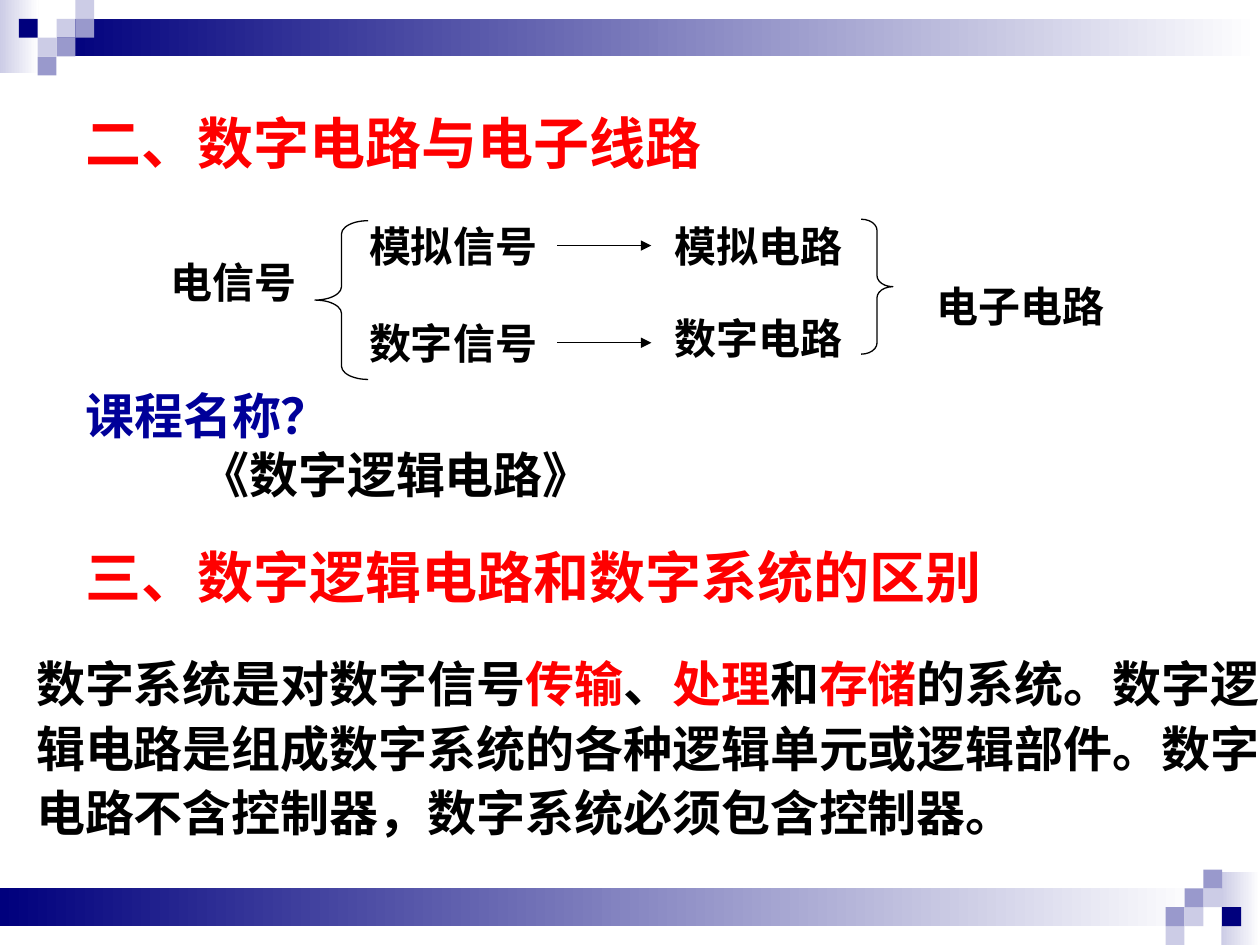
from lxml.etree import SubElement
from pptx import Presentation
from pptx.dml.color import RGBColor
from pptx.enum.shapes import MSO_CONNECTOR, MSO_SHAPE
from pptx.oxml.ns import qn
from pptx.util import Cm, Pt

BLACK = RGBColor(0x00, 0x00, 0x00)
WHITE = RGBColor(0xFF, 0xFF, 0xFF)
RED = RGBColor(0xFF, 0x00, 0x00)
BLUE = RGBColor(0x00, 0x00, 0x99)
NAVY = RGBColor(0x00, 0x00, 0x7D)
LILAC = RGBColor(0xCC, 0xCC, 0xE6)
VIOLET = RGBColor(0x99, 0x99, 0xCC)

CJK_FONT = "Noto Sans CJK SC"
SLIDE_WIDTH, SLIDE_HEIGHT = 25.4, 19.05
TILE = 0.38
TILES = [
    (3, 1, LILAC), (4, 0, LILAC), (4, 1, VIOLET), (2, 2, LILAC),
    (1, 1, NAVY), (3, 2, VIOLET), (2, 3, VIOLET),
]


def add_block(slide, left, top, width, height, color, fade=False):
    """Add a borderless rectangle, plain or fading to white on the right."""
    block = slide.shapes.add_shape(
        MSO_SHAPE.RECTANGLE, Cm(left), Cm(top), Cm(width), Cm(height))
    block.shadow.inherit = False
    block.line.fill.background()
    if fade:
        block.fill.gradient()
        block.fill.gradient_angle = 0
        for stop, shade in zip(block.fill.gradient_stops, (color, WHITE)):
            stop.color.rgb = shade
    else:
        block.fill.solid()
        block.fill.fore_color.rgb = color


def add_corner(slide, mirrored):
    """Add the bar and tile mosaic at the top left, or mirrored at the bottom right."""
    blocks = [(0, 0, 0.78, 1.47, LILAC, True),
              (3 * TILE, TILE, SLIDE_WIDTH - 3 * TILE, 2 * TILE, NAVY, True)]
    blocks += [(column * TILE, row * TILE, TILE, TILE, color, False)
               for column, row, color in TILES]
    for left, top, width, height, color, fade in blocks:
        if mirrored:
            left = SLIDE_WIDTH - left - width
            top = SLIDE_HEIGHT - top - height
        add_block(slide, left, top, width, height, color, fade)


def add_text(slide, left, top, width, height, inset=0.25):
    """Add an empty wrapping text box and return its text frame."""
    frame = slide.shapes.add_textbox(
        Cm(left), Cm(top), Cm(width), Cm(height)).text_frame
    frame.word_wrap = True
    frame.margin_left = Cm(inset)
    return frame


def add_run(paragraph, text, size, color=BLACK, font="Arial"):
    """Append a bold run with its Latin and East Asian fonts."""
    run = paragraph.add_run()
    run.text = text
    run.font.name = font
    run.font.size = Pt(size)
    run.font.bold = True
    run.font.color.rgb = color
    SubElement(run.font._element, qn("a:ea"), typeface=CJK_FONT)


def add_label(slide, text, left, top, width=5.72, font="Arial"):
    """Add one label of the signal diagram."""
    frame = add_text(slide, left, top, width, 1.47, inset=0.89)
    add_run(frame.paragraphs[0], text, 24, font=font)


def add_heading(slide, text, top):
    """Add a red section heading."""
    frame = add_text(slide, 1.47, top, 21.59, 2.11)
    add_run(frame.paragraphs[0], text, 32, RED, CJK_FONT)


def add_brace(slide, kind, left, top, width, height, curve):
    """Add a thin brace with the given curve ratio."""
    brace = slide.shapes.add_shape(kind, Cm(left), Cm(top), Cm(width), Cm(height))
    brace.shadow.inherit = False
    brace.fill.background()
    brace.line.color.rgb = BLACK
    brace.line.width = Pt(0.75)
    brace.adjustments[0] = curve


def add_arrow(slide, y):
    """Add a horizontal arrow from a signal to its circuit."""
    arrow = slide.shapes.add_connector(
        MSO_CONNECTOR.STRAIGHT, Cm(11.23), Cm(y), Cm(13.13), Cm(y))
    arrow.line.color.rgb = BLACK
    arrow.line.width = Pt(0.75)
    SubElement(arrow.line._get_or_add_ln(), qn("a:tailEnd"), type="triangle")
    SubElement(arrow._element.spPr, qn("a:effectLst"))


def add_diagram(slide):
    """Add the diagram linking signals and circuits."""
    add_label(slide, "电信号", 2.54, 5.05, 4.88, "Times New Roman")
    add_brace(slide, MSO_SHAPE.LEFT_BRACE, 6.35, 4.45, 1.07, 3.2, 0.25)
    for y in (4.95, 6.91):
        add_arrow(slide, y)
    add_brace(slide, MSO_SHAPE.RIGHT_BRACE, 17.36, 4.42, 0.64, 2.72, 0.35)
    for text, left, top in [
        ("模拟信号", 6.55, 4.32), ("数字信号", 6.55, 6.27),
        ("模拟电路", 12.7, 4.32), ("数字电路", 12.7, 6.17),
        ("电子电路", 17.99, 5.54),
    ]:
        add_label(slide, text, left, top)


def add_explanation(slide):
    """Add the paragraph comparing digital systems and circuits."""
    paragraph = add_text(slide, 0.48, 12.93, 25.28, 4.17).paragraphs[0]
    paragraph.line_spacing = 1.1
    for text, color in [
        ("数字系统是对数字信号", BLACK), ("传输", RED), ("、", BLACK),
        ("处理", RED), ("和", BLACK), ("存储", RED),
        ("的系统。数字逻辑电路是组成数字系统的各种逻辑单元或逻辑部件。"
         "数字电路不含控制器，数字系统必须包含控制器。", BLACK),
    ]:
        add_run(paragraph, text, 28, color)


def add_course_name(slide):
    """Add the question about the course name and its indented answer."""
    frame = add_text(slide, 1.47, 7.65, 20.52, 2.64)
    add_run(frame.paragraphs[0], "课程名称？", 28, BLUE)
    answer = frame.add_paragraph()
    answer._p.get_or_add_pPr().set("marL", str(Cm(2.32)))
    add_run(answer, "《数字逻辑电路》", 28)


def main():
    """Build and save the slide."""
    presentation = Presentation()
    presentation.slide_width = Cm(SLIDE_WIDTH)
    presentation.slide_height = Cm(SLIDE_HEIGHT)
    slide = presentation.slides.add_slide(presentation.slide_layouts[6])
    for mirrored in (False, True):
        add_corner(slide, mirrored)
    add_diagram(slide)
    add_heading(slide, "二、数字电路与电子线路", 2.06)
    add_heading(slide, "三、数字逻辑电路和数字系统的区别", 10.82)
    add_explanation(slide)
    add_course_name(slide)
    presentation.save("out.pptx")


if __name__ == "__main__":
    main()
